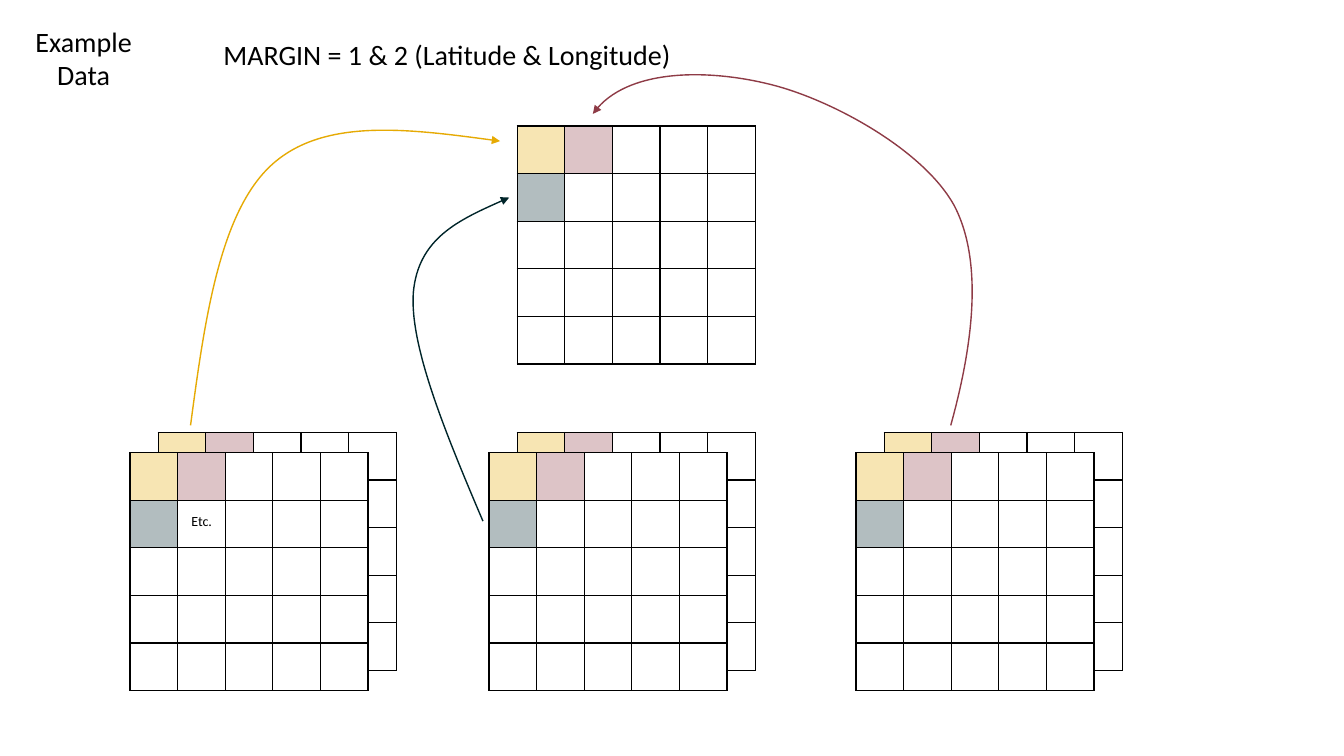
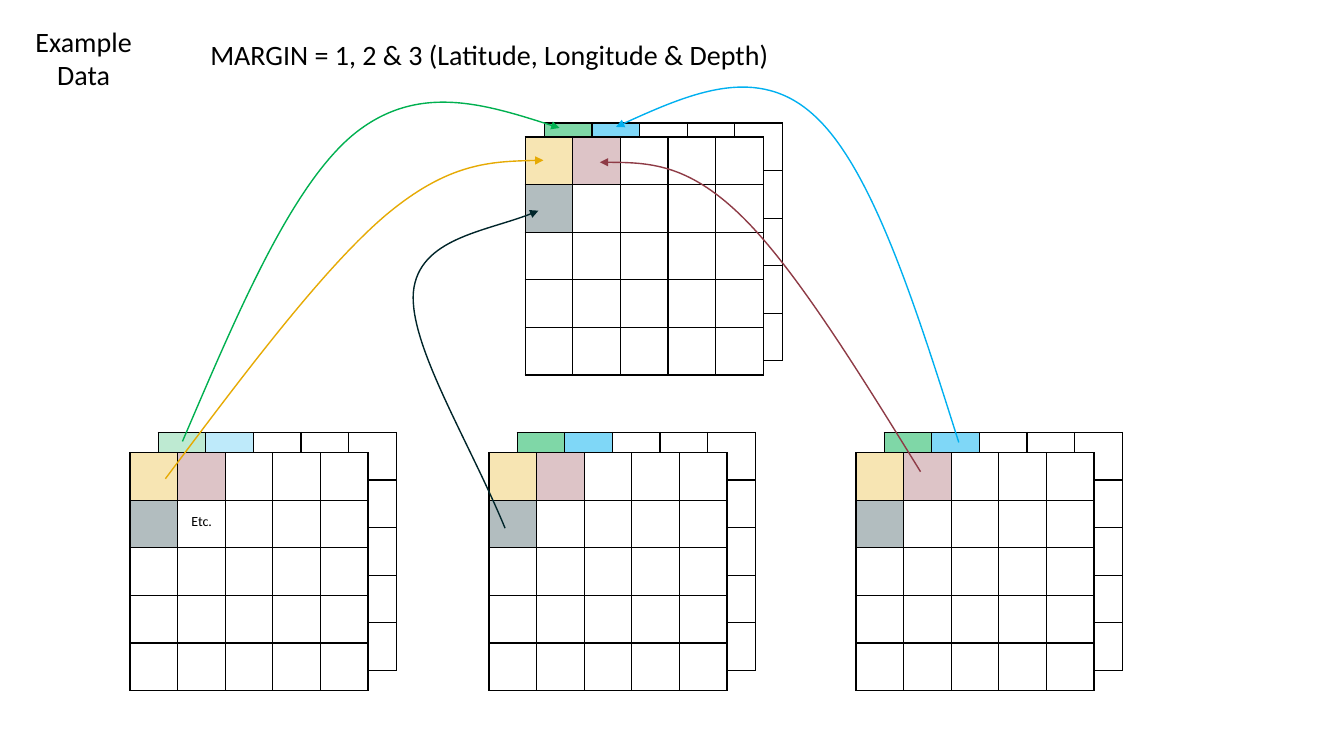
from lxml.etree import SubElement
from pptx import Presentation
from pptx.dml.color import RGBColor
from pptx.enum.text import MSO_AUTO_SIZE, PP_ALIGN
from pptx.oxml.ns import qn
from pptx.util import Inches, Pt

CENTER, LEFT = PP_ALIGN.CENTER, PP_ALIGN.LEFT
GROW = MSO_AUTO_SIZE.SHAPE_TO_FIT_TEXT
WIDTH, HEIGHT = Inches(13.33), Inches(7.5)
COLUMNS, ROWS = 1333, 750
GRID_SIDE, GRID_CELLS = 236.2, 5
COLORS = {
    "black": "000000", "white": "FFFFFF",
    "sand": "F7E5B3", "rose": "DDC4C7", "slate": "B2BDBF",
    "mint": "7FD7A7", "sky": "7FD7F7",
    "gold": "E6AA04", "wine": "8E3B46", "ink": "00252A",
    "green": "00B050", "blue": "00B0F0",
}
FRONT = {(0, 0): "sand", (0, 1): "rose", (1, 0): "slate"}
STACK_LEFTS, STACK_TOP = (129, 485, 849), 449
WARM, COOL = ("sand", "rose"), ("mint", "sky")


class Deck:
    """Style and current slide, with lengths in columns and rows of the slide grid."""

    def __init__(self):
        self.presentation = Presentation()
        self.presentation.slide_width = WIDTH
        self.presentation.slide_height = HEIGHT
        self.slide = None

    def add_slide(self):
        self.slide = self.presentation.slides.add_slide(self.presentation.slide_layouts[6])

    def x(self, columns):
        return round(WIDTH * columns / COLUMNS)

    def y(self, rows):
        return round(HEIGHT * rows / ROWS)

    def color(self, name):
        return RGBColor.from_string(COLORS[name])

    def text(self, left, top, width, height, words, size=20, align=CENTER):
        shape = self.slide.shapes.add_textbox(
            self.x(left), self.y(top), self.x(width), self.y(height))
        frame = shape.text_frame
        frame.word_wrap = True
        frame.auto_size = GROW
        paragraph = frame.paragraphs[0]
        paragraph.text = words
        paragraph.alignment = align
        paragraph.font.name = "Calibri"
        paragraph.font.size = Pt(size)
        paragraph.font.color.rgb = self.color("black")

    def border(self, cell):
        properties = cell._tc.get_or_add_tcPr()
        for side in ("a:lnL", "a:lnR", "a:lnT", "a:lnB"):
            line = SubElement(properties, qn(side), w=str(Pt(1)))
            fill = SubElement(line, qn("a:solidFill"))
            SubElement(fill, qn("a:srgbClr"), val=COLORS["black"])

    def grid(self, left, top, fills, opacity=100):
        table = self.slide.shapes.add_table(
            GRID_CELLS, GRID_CELLS, self.x(left), self.y(top),
            self.x(GRID_SIDE), self.y(GRID_SIDE)).table
        table.first_row = table.horz_banding = False
        for row in range(GRID_CELLS):
            for column in range(GRID_CELLS):
                cell = table.cell(row, column)
                self.border(cell)
                cell.fill.solid()
                cell.fill.fore_color.rgb = self.color(fills.get((row, column), "white"))
                if opacity < 100 and (row, column) in fills:
                    color = cell._tc.tcPr.find(qn("a:solidFill"))[0]
                    SubElement(color, qn("a:alpha"), val=str(opacity * 1000))

    def stack(self, left, top, back_colors, shift=(28, -20), opacity=100):
        back = {(row, column): name for row in range(GRID_CELLS)
                for column, name in enumerate(back_colors)}
        self.grid(left + shift[0], top + shift[1], back, opacity)
        self.grid(left, top, FRONT)

    def arrow(self, color, *points):
        start, *controls = [(self.x(column), self.y(row)) for column, row in points]
        builder = self.slide.shapes.build_freeform(*start)
        builder.add_line_segments(controls, close=False)
        shape = builder.convert_to_shape()
        shape.shadow.inherit = False
        shape.fill.background()
        shape.line.color.rgb = self.color(color)
        shape.line.width = Pt(1)
        properties = shape.element.spPr
        SubElement(properties.find(qn("a:ln")), qn("a:tailEnd"), type="triangle")
        outline = next(properties.iter(qn("a:path")))
        segments = outline.findall(qn("a:lnTo"))
        for first in range(0, len(segments), 3):
            curve = SubElement(outline, qn("a:cubicBezTo"))
            for segment in segments[first:first + 3]:
                curve.append(segment[0])
                outline.remove(segment)

    def example(self, title, title_width, back_colors, first_opacity=100):
        self.add_slide()
        for left in STACK_LEFTS:
            opacity = first_opacity if left == STACK_LEFTS[0] else 100
            self.stack(left, STACK_TOP, back_colors, opacity=opacity)
        self.text(13, 19, 140, 77, "Example Data")
        self.text(193, 32, title_width, 44, title)
        self.text(180, 504, 58, 27, "Etc.", 10, LEFT)


def main():
    deck = Deck()

    deck.example("MARGIN = 1 & 2 (Latitude & Longitude)", 501, WARM)
    deck.grid(513, 125, FRONT)
    deck.arrow("gold", (189, 422), (203, 317), (218, 211), (269, 164),
               (320, 117), (408, 128), (496, 140))
    deck.arrow("wine", (943, 422), (964, 346), (976, 262), (947, 205),
               (917, 149), (825, 99), (765, 84), (706, 69), (620, 67), (588, 113))
    deck.arrow("ink", (479, 517), (442, 430), (406, 343), (410, 290),
               (415, 236), (460, 216), (505, 196))

    deck.example("MARGIN = 1, 2 & 3 (Latitude, Longitude & Depth)", 585, COOL, 50)
    deck.stack(521, 136, COOL, shift=(19, -14))
    deck.arrow("ink", (501, 524), (465, 437), (406, 343), (410, 290),
               (415, 236), (489, 229), (534, 209))
    deck.arrow("green", (181, 438), (235, 312), (288, 186), (350, 134),
               (413, 82), (484, 104), (555, 127))
    deck.arrow("gold", (164, 475), (242, 371), (320, 267), (382, 214),
               (445, 161), (492, 160), (539, 159))
    deck.arrow("blue", (951, 439), (908, 303), (865, 167), (808, 115),
               (752, 63), (681, 94), (611, 126))
    deck.arrow("wine", (913, 468), (850, 366), (787, 264), (734, 213),
               (681, 162), (638, 161), (595, 161))

    deck.presentation.save("out.pptx")


if __name__ == "__main__":
    main()
